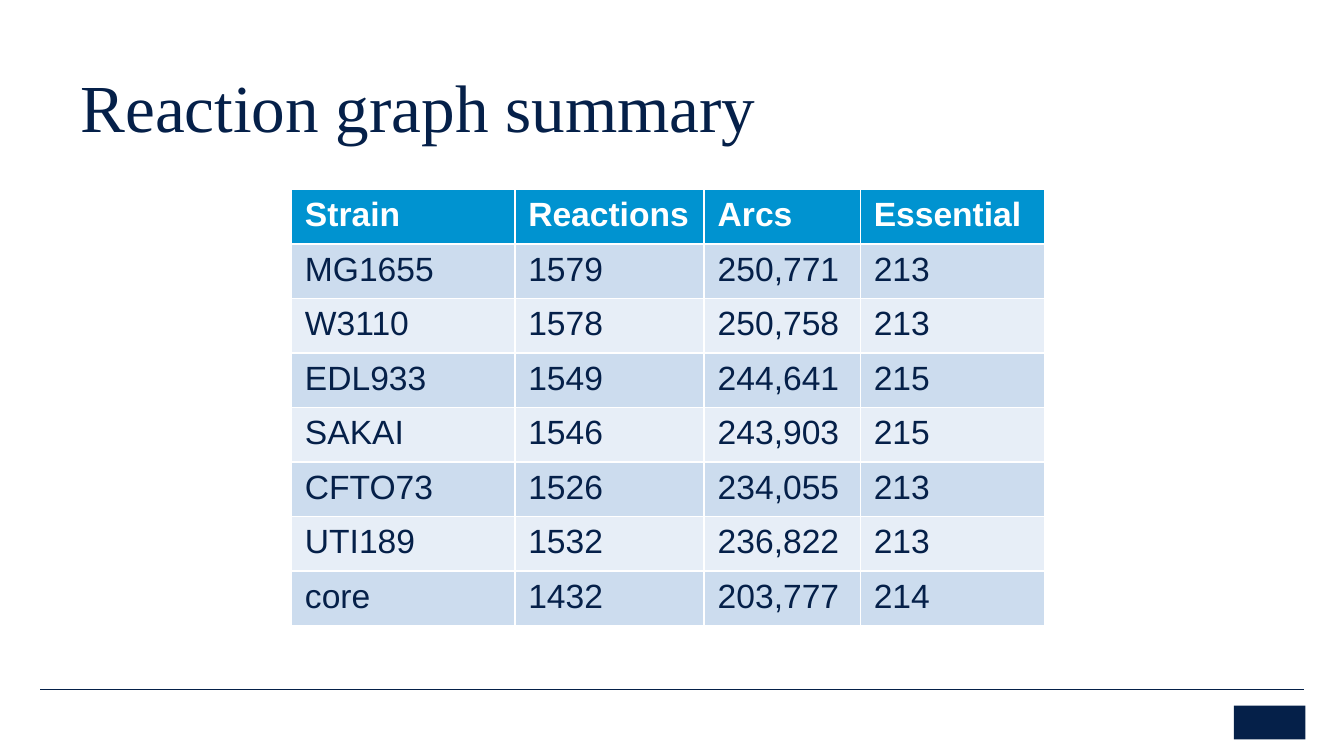
from dataclasses import dataclass
from lxml.etree import SubElement as Sub
from pptx import Presentation
from pptx.dml.color import RGBColor as Rgb
from pptx.enum.shapes import MSO_CONNECTOR as Conn, MSO_SHAPE as Kind
from pptx.enum.text import MSO_ANCHOR as Anchor, MSO_AUTO_SIZE as Fit, PP_ALIGN as Align
from pptx.oxml.ns import qn
from pptx.util import Cm, Pt

TITLE = "Reaction graph summary"
HEAD = ("Strain", "Reactions", "Arcs", "Essential")
ROWS = [
    ("MG1655", "1579", "250,771", "213"),
    ("W3110", "1578", "250,758", "213"),
    ("EDL933", "1549", "244,641", "215"),
    ("SAKAI", "1546", "243,903", "215"),
    ("CFTO73", "1526", "234,055", "213"),
    ("UTI189", "1532", "236,822", "213"),
    ("core", "1432", "203,777", "214"),
]
COLS = (4.22, 3.58, 2.95, 3.48)
ROW_H = 1.03
WIDE, HIGH = 25.4, 14.29
RULE_Y = 13.03
INSETS = (1.02, 0.76)


@dataclass(frozen=True)
class Theme:
    navy: Rgb = Rgb.from_string("052049")
    blue: Rgb = Rgb.from_string("0093D0")
    white: Rgb = Rgb.from_string("FFFFFF")
    bands: tuple = (Rgb.from_string("CCDCEE"), Rgb.from_string("E7EEF7"))
    serif: str = "Times New Roman"
    sans: str = "Arial"
    big: int = 36
    text: int = 18
    rule: float = 0.25


LOOK = Theme()


def box(*nums):
    return [Cm(n) for n in nums]


def add_run(para, text, face, size, color, bold=False):
    run = para.add_run()
    run.text = text
    font = run.font
    font.name, font.size, font.bold = face, Pt(size), bold
    font.color.rgb = color


def add_rule(slide, inset):
    line = slide.shapes.add_connector(
        Conn.STRAIGHT, *box(inset, RULE_Y, WIDE - inset, RULE_Y))
    line.line.color.rgb = LOOK.navy
    line.line.width = Pt(LOOK.rule)
    Sub(line._element.spPr, qn("a:effectLst"))


def add_mark(slide):
    mark = slide.shapes.add_shape(Kind.RECTANGLE, *box(23.32, 13.34, 1.35, 0.64))
    mark.shadow.inherit = False
    mark.fill.solid()
    mark.fill.fore_color.rgb = LOOK.navy
    mark.line.fill.background()


def set_title(slide):
    title = slide.shapes.title
    title.left, title.top, title.width, title.height = box(1.27, 1.63, 22.71, 1.27)
    frame = title.text_frame
    frame.auto_size = Fit.NONE
    frame.vertical_anchor = Anchor.BOTTOM
    para = frame.paragraphs[0]
    para.alignment = Align.LEFT
    para.line_spacing = 0.85
    add_run(para, TITLE, LOOK.serif, LOOK.big, LOOK.navy)


def add_grid(slide):
    rows = [HEAD, *ROWS]
    grid = slide.shapes.add_table(
        len(rows), len(COLS),
        *box(5.51, 3.58, sum(COLS), ROW_H * len(rows))).table
    for col, width in zip(grid.columns, COLS):
        col.width = Cm(width)
    for r, row in enumerate(rows):
        grid.rows[r].height = Cm(ROW_H)
        top = r == 0
        fill = LOOK.blue if top else LOOK.bands[(r - 1) % 2]
        ink = LOOK.white if top else LOOK.navy
        for c, text in enumerate(row):
            cell = grid.cell(r, c)
            cell.fill.solid()
            cell.fill.fore_color.rgb = fill
            add_run(cell.text_frame.paragraphs[0], text,
                    LOOK.sans, LOOK.text, ink, top)


def main():
    deck = Presentation()
    deck.slide_width, deck.slide_height = box(WIDE, HIGH)
    slide = deck.slides.add_slide(deck.slide_layouts[5])
    for inset in INSETS:
        add_rule(slide, inset)
    add_mark(slide)
    set_title(slide)
    add_grid(slide)
    deck.save("out.pptx")


if __name__ == "__main__":
    main()
